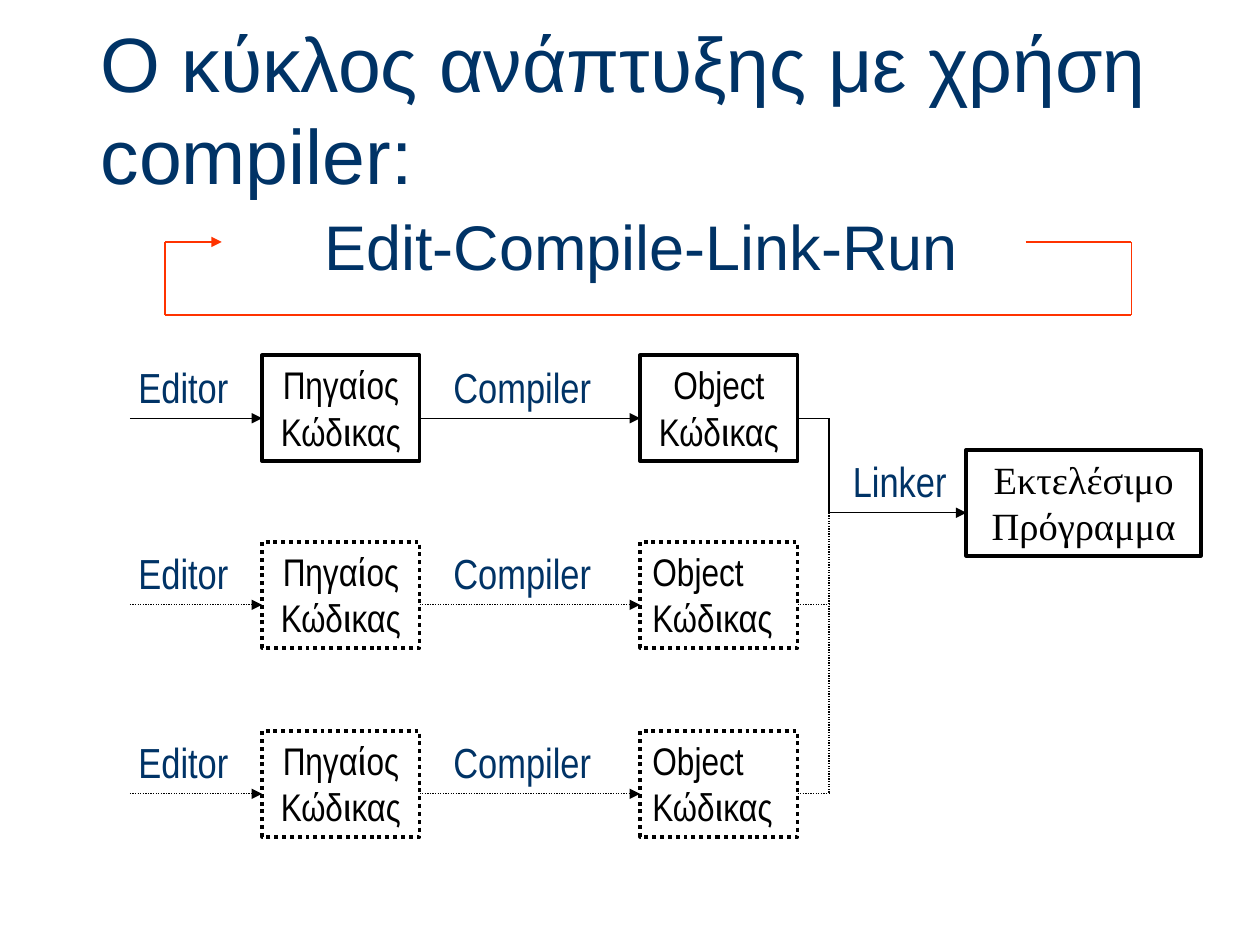
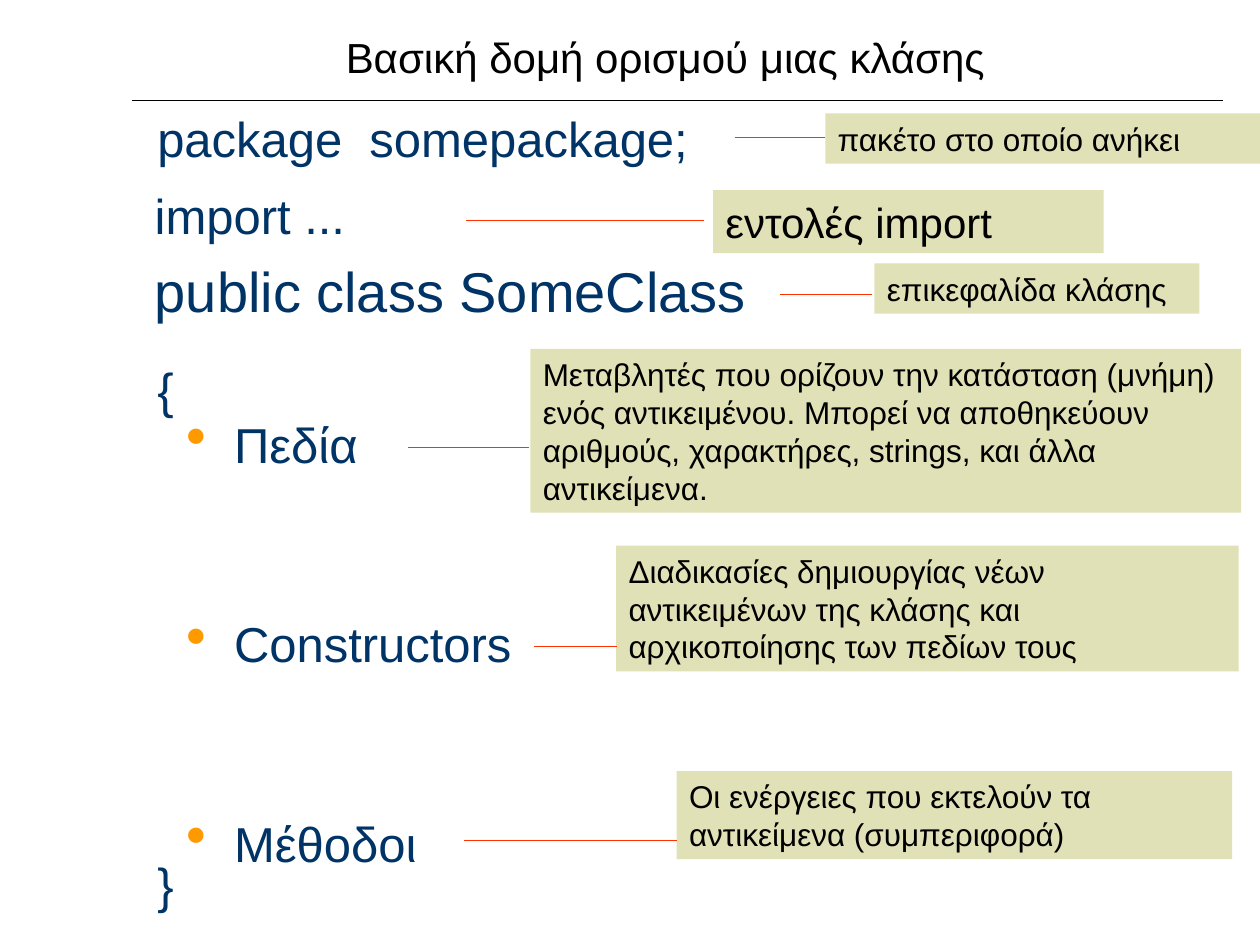
from itertools import pairwise

from pptx import Presentation
from pptx.dml.color import RGBColor as Rgb
from pptx.enum.dml import MSO_LINE as Dash
from pptx.enum.shapes import MSO_CONNECTOR as Conn, MSO_SHAPE as Kind
from pptx.enum.text import MSO_ANCHOR as Anchor, PP_ALIGN as Align
from pptx.oxml.ns import qn
from pptx.util import Inches, Pt
from lxml.etree import SubElement as Sub

WIDE, HIGH = Inches(10), Inches(7.5)
CELL = WIDE / 100  # the grid has 100 columns and 75 rows
INK = {"navy": "003366", "black": "000000", "red": "FF3300",
       "sand": "E1E1B7", "dot": "FF9900"}
SANS, SLIM, SERIF = "Arial", "Arial Narrow", "Times New Roman"
THIN, THICK = 0.75, 2.25


def ink(name):
    return Rgb.from_string(INK[name])


def grid(*cells):
    return [round(n * CELL) for n in cells]


def write(shape, text, size, color="navy", font=SANS, align=Align.LEFT,
          anchor=Anchor.TOP):
    frame = shape.text_frame
    frame.word_wrap = True
    frame.vertical_anchor = anchor
    frame.text = text
    for para in frame.paragraphs:
        para.alignment = align
        for run in para.runs:
            run.font.size = Pt(size)
            run.font.name = font
            run.font.color.rgb = ink(color)
    return frame


def label(slide, place, text, size, **look):
    return write(slide.shapes.add_textbox(*grid(*place)), text, size, **look)


def rect(slide, place):
    shape = slide.shapes.add_shape(Kind.RECTANGLE, *grid(*place))
    shape.shadow.inherit = False
    return shape


def box(slide, place, text, dash=None, font=SLIM, align=Align.CENTER):
    """Outlined stage of the build."""
    shape = rect(slide, place)
    shape.fill.background()
    shape.line.color.rgb = ink("black")
    shape.line.width = Pt(THICK)
    shape.line.dash_style = dash
    write(shape, text, 22, "black", font, align)


def note(slide, place, text, size=18):
    """Sand-coloured remark."""
    shape = rect(slide, place)
    shape.fill.solid()
    shape.fill.fore_color.rgb = ink("sand")
    shape.line.fill.background()
    write(shape, text, size, "black")


def route(slide, points, color="black", dash=None, arrow=False):
    """Straight lines from point to point, with an arrowhead at the end."""
    for start, end in pairwise(points):
        wire = slide.shapes.add_connector(Conn.STRAIGHT, *grid(*start, *end))
        wire.line.color.rgb = ink(color)
        wire.line.width = Pt(THIN)
        wire.line.dash_style = dash
        if arrow and end == points[-1]:
            Sub(wire.line._get_or_add_ln(), qn("a:tailEnd"), type="triangle")
        Sub(wire._element.spPr, qn("a:effectLst"))


def bullets(frame, gap):
    for num, para in enumerate(frame.paragraphs):
        para.space_before = Pt(gap if num else 0)
        props = para._p.get_or_add_pPr()
        props.set("marL", str(Inches(0.38)))
        props.set("indent", str(-Inches(0.38)))
        Sub(Sub(props, qn("a:buClr")), qn("a:srgbClr"), val=INK["dot"])
        Sub(props, qn("a:buSzPct"), val="120000")
        Sub(props, qn("a:buChar"), char="•")


def chain(slide, top, dash, align):
    """One row: editor, source code, compiler, object code."""
    mid = top + 5
    for left, wide, tool, start, end in (
            (10, 10.8, "Editor", 10.3, 20.8),
            (35, 13.3, "Compiler", 33.3, 50.8)):
        label(slide, (left, top, wide, 5), tool, 24, font=SLIM)
        route(slide, [(start, mid), (end, mid)], dash=dash, arrow=True)
    box(slide, (20.8, top, 12.5, 8.4), "Πηγαίος Κώδικας", dash)
    box(slide, (50.8, top, 12.5, 8.4), "Object\nΚώδικας", dash, align=align)


def cycle(slide):
    label(slide, (7, 1.8, 91.4, 13.5),
          "Ο κύκλος ανάπτυξης με χρήση compiler:", 44, anchor=Anchor.MIDDLE)
    label(slide, (8.4, 15.5, 85, 7.9), "Edit-Compile-Link-Run", 36,
          align=Align.CENTER, anchor=Anchor.MIDDLE)
    route(slide, [(81.4, 19.2), (89.8, 19.2), (89.8, 25), (13.1, 25),
                  (13.1, 19.2), (17.6, 19.2)], "red", arrow=True)

    bus, join = 65.8, 40.7
    for top, dash, align in ((28.2, None, Align.CENTER),
                             (43, Dash.ROUND_DOT, Align.LEFT),
                             (58, Dash.ROUND_DOT, Align.LEFT)):
        chain(slide, top, dash, align)
        route(slide, [(63.3, top + 5), (bus, top + 5)], dash=dash)
    route(slide, [(bus, 33.2), (bus, join)])
    route(slide, [(bus, join), (bus, 63)], dash=Dash.ROUND_DOT)
    route(slide, [(bus, join), (76.7, join)], arrow=True)
    label(slide, (66.7, 35.7, 11.7, 5), "Linker", 24, font=SLIM)
    box(slide, (76.7, 35.7, 18.6, 8.4), "Εκτελέσιμο Πρόγραμμα", font=SERIF)


def anatomy(slide):
    label(slide, (8.7, 2, 88.2, 5), "Βασική δομή ορισμού μιας κλάσης", 24,
          color="black", align=Align.CENTER)
    route(slide, [(10.5, 8), (97.1, 8)])

    for place, code, size in (
            ((11.5, 8.1, 57.7, 5.7), "package  somepackage;", 28),
            ((11.3, 14.2, 28.7, 5.7), "import ...", 28),
            ((11.3, 20.2, 85, 5.7), "public class SomeClass", 32),
            ((11.5, 28, 4.3, 5.7), "{", 28),
            ((11.5, 67.3, 6.2, 5.7), "}", 28)):
        label(slide, place, code, size, anchor=Anchor.MIDDLE)
    parts = label(slide, (13.8, 32.4, 32.6, 40.9),
                  "Πεδία\nConstructors\nΜέθοδοι", 28)
    bullets(parts, 80.4)

    for place, text, size, start, end, row in (
            ((65.5, 9, 34.5, 4), "πακέτο στο οποίο ανήκει", 18,
             58.3, 65.5, 10.9),
            ((56.6, 15.1, 31, 5), "εντολές import", 24, 37, 55.9, 17.5),
            ((69.4, 20.9, 25.8, 4), "επικεφαλίδα κλάσης", 18,
             61.9, 69.2, 23.4),
            ((42.1, 27.7, 56.4, 13),
             "Μεταβλητές που ορίζουν την κατάσταση (μνήμη) ενός αντικειμένου. "
             "Μπορεί να αποθηκεύουν αριθμούς, χαρακτήρες, strings, και άλλα "
             "αντικείμενα.", 18, 32.4, 42, 35.5),
            ((48.9, 43.3, 49.4, 10),
             "Διαδικασίες δημιουργίας νέων αντικειμένων της κλάσης και "
             "αρχικοποίησης των πεδίων τους", 18, 42.4, 49, 51.3),
            ((53.7, 61.2, 44.1, 7),
             "Οι ενέργειες που εκτελούν τα αντικείμενα (συμπεριφορά)", 18,
             36.8, 53.7, 66.7)):
        note(slide, place, text, size)
        route(slide, [(start, row), (end, row)], "red")


def main():
    deck = Presentation()
    deck.slide_width, deck.slide_height = WIDE, HIGH
    for draw in (cycle, anatomy):
        draw(deck.slides.add_slide(deck.slide_layouts[6]))
    deck.save("out.pptx")


if __name__ == "__main__":
    main()
